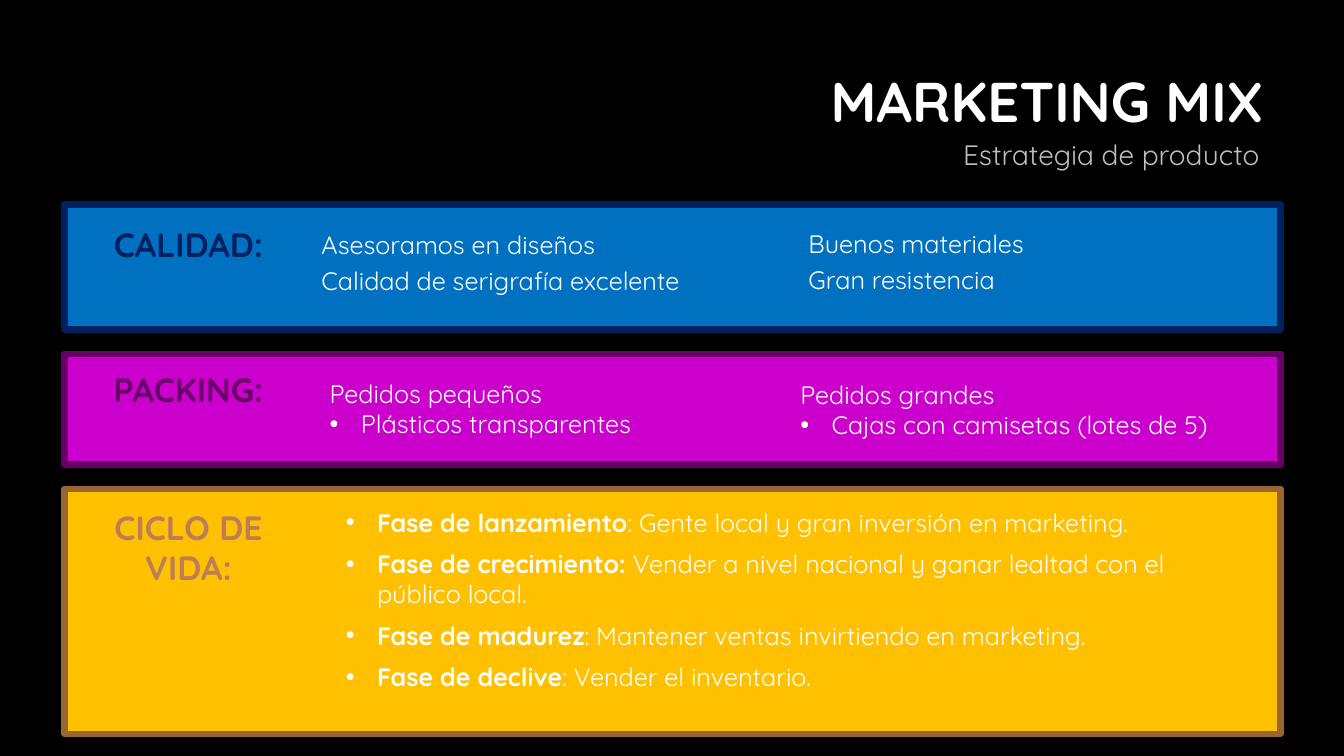
from lxml.etree import SubElement
from pptx import Presentation
from pptx.dml.color import RGBColor
from pptx.enum.shapes import MSO_SHAPE
from pptx.enum.text import MSO_ANCHOR, MSO_AUTO_SIZE, PP_ALIGN
from pptx.oxml.ns import qn
from pptx.util import Inches, Pt

FONT = "Quicksand"
WHITE = "FFFFFF"
PANELS = [
    (2.03, 1.24, "0070C0", "002060"),
    (3.51, 1.1, "CC00CC", "660066"),
    (4.85, 2.43, "FFC000", "996633"),
]
LABELS = [
    ("CALIDAD:", 2.17, 0.5, "002060"),
    ("PACKING:", 3.61, 0.5, "660066"),
    ("CICLO DE VIDA:", 4.98, 0.91, "BC7E59"),
]
QUALITY = [
    (3.09, 2.23, 4.12, ["Asesoramos en diseños", "Calidad de serigrafía excelente"]),
    (7.92, 2.22, 3.12, ["Buenos materiales", "Gran resistencia"]),
]
PACKING = [
    (3.17, 3.7, 3.42, "Pedidos pequeños", "Plásticos transparentes"),
    (7.84, 3.71, 4.53, "Pedidos grandes", "Cajas con camisetas (lotes de 5)"),
]
PHASES = [
    ("Fase de lanzamiento", ": Gente local y gran inversión en marketing."),
    ("Fase de crecimiento: ", "Vender a nivel nacional y ganar lealtad con el público local."),
    ("Fase de madurez", ": Mantener ventas invirtiendo en marketing."),
    ("Fase de declive", ": Vender el inventario."),
]


def color(code):
    """Turn a hex string into a colour."""
    return RGBColor.from_string(code)


def place(shape, left, top, width, height):
    """Move and size a shape, in inches."""
    shape.left, shape.top = Inches(left), Inches(top)
    shape.width, shape.height = Inches(width), Inches(height)


def add_run(para, text, size=18, tint=WHITE, bold=False):
    """Append one formatted run to a paragraph."""
    run = para.add_run()
    run.text = text
    font = run.font
    font.name, font.size, font.bold = FONT, Pt(size), bold
    font.color.rgb = color(tint)


def add_para(frame, index, align=PP_ALIGN.LEFT, gap=0):
    """Return the paragraph at an index, spaced from the one above."""
    para = frame.add_paragraph() if index else frame.paragraphs[0]
    para.alignment = align
    para.space_before = Pt(gap if index else 0)
    return para


def add_bullet(para):
    """Give a paragraph a hanging round bullet."""
    props = para._p.get_or_add_pPr()
    props.set("marL", str(Inches(0.31)))
    props.set("indent", str(-Inches(0.31)))
    SubElement(props, qn("a:buFont"), typeface="Arial")
    SubElement(props, qn("a:buChar"), char="•")


def add_box(slide, left, top, width, height):
    """Add a wrapping text box and return its frame."""
    box = slide.shapes.add_textbox(
        Inches(left), Inches(top), Inches(width), Inches(height))
    box.text_frame.word_wrap = True
    return box.text_frame


def add_panel(slide, top, height, fill, line):
    """Add a full-width framed panel."""
    panel = slide.shapes.add_shape(
        MSO_SHAPE.RECTANGLE, Inches(0.64), Inches(top), Inches(12.06), Inches(height))
    panel.shadow.inherit = False
    panel.fill.solid()
    panel.fill.fore_color.rgb = color(fill)
    panel.line.color.rgb = color(line)
    panel.line.width = Pt(4.5)


def add_head(slide):
    """Fill the title and add the subtitle."""
    title = slide.shapes.title
    place(title, 3.21, 0.63, 9.42, 0.82)
    title.text_frame.vertical_anchor = MSO_ANCHOR.MIDDLE
    para = add_para(title.text_frame, 0, PP_ALIGN.RIGHT)
    para.line_spacing = 0.9
    add_run(para, "MARKETING MIX", 40, bold=True)
    para = add_para(add_box(slide, 1.5, 1.35, 11.09, 0.52), 0, PP_ALIGN.RIGHT)
    para.line_spacing = 0.9
    add_run(para, "Estrategia de producto", 20, "BFBFBF")


def add_phases(slide):
    """Fill the body with the life cycle list, in front of its panel."""
    body = slide.placeholders[1]
    body.element.getparent().append(body.element)
    place(body, 3.33, 4.98, 8.8, 2.2)
    frame = body.text_frame
    frame.auto_size = MSO_AUTO_SIZE.NONE
    frame.vertical_anchor = MSO_ANCHOR.TOP
    for index, (name, text) in enumerate(PHASES):
        para = add_para(frame, index, gap=8)
        add_bullet(para)
        add_run(para, name, bold=True)
        add_run(para, text)


def main():
    """Build the slide and save it."""
    deck = Presentation()
    deck.slide_width, deck.slide_height = Inches(13.33), Inches(7.5)
    slide = deck.slides.add_slide(deck.slide_layouts[1])
    slide.background.fill.solid()
    slide.background.fill.fore_color.rgb = color("000000")
    add_head(slide)
    for panel in PANELS:
        add_panel(slide, *panel)
    for text, top, height, tint in LABELS:
        para = add_para(add_box(slide, 0.79, top, 2.16, height), 0, PP_ALIGN.CENTER)
        add_run(para, text, 24, tint, True)
    for left, top, width, lines in QUALITY:
        frame = add_box(slide, left, top, width, 0.77)
        for index, text in enumerate(lines):
            add_run(add_para(frame, index, gap=4), text)
    for left, top, width, head, item in PACKING:
        frame = add_box(slide, left, top, width, 0.71)
        add_run(add_para(frame, 0), head)
        para = add_para(frame, 1)
        add_bullet(para)
        add_run(para, item)
    add_phases(slide)
    deck.save("out.pptx")


if __name__ == "__main__":
    main()
